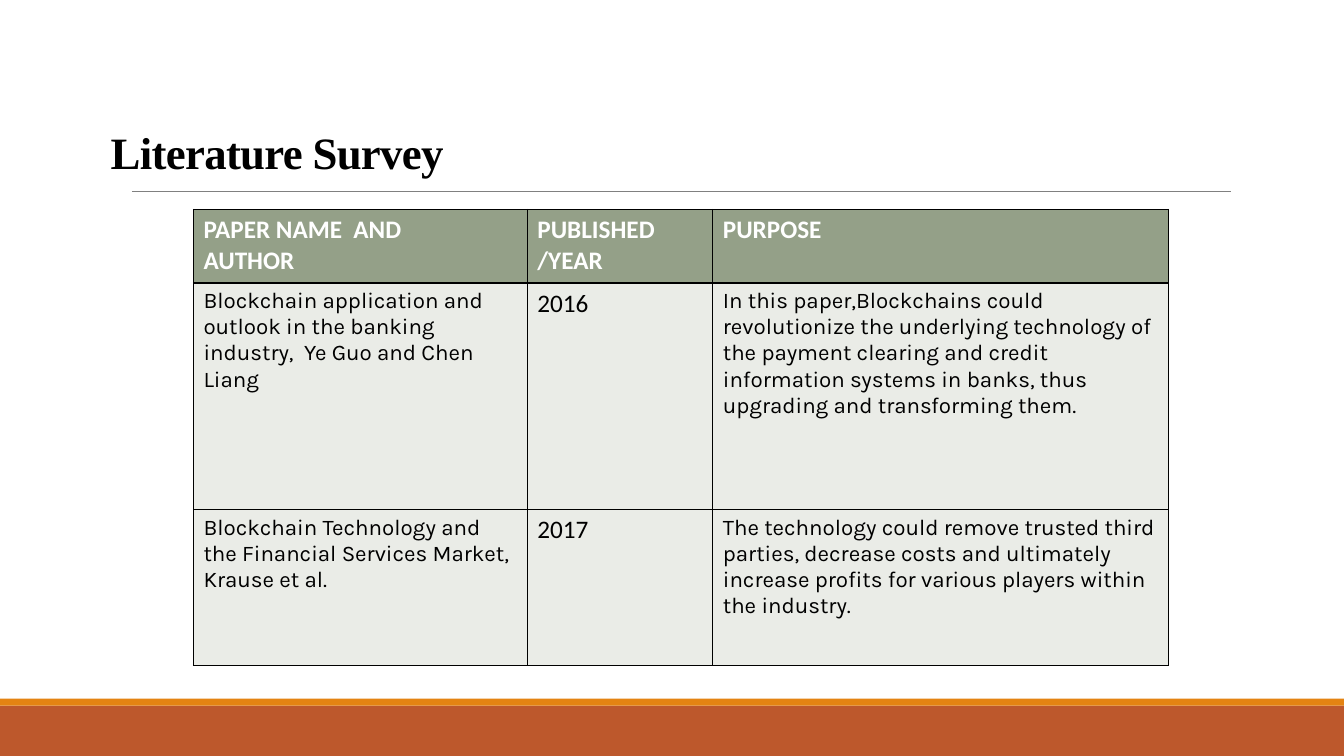
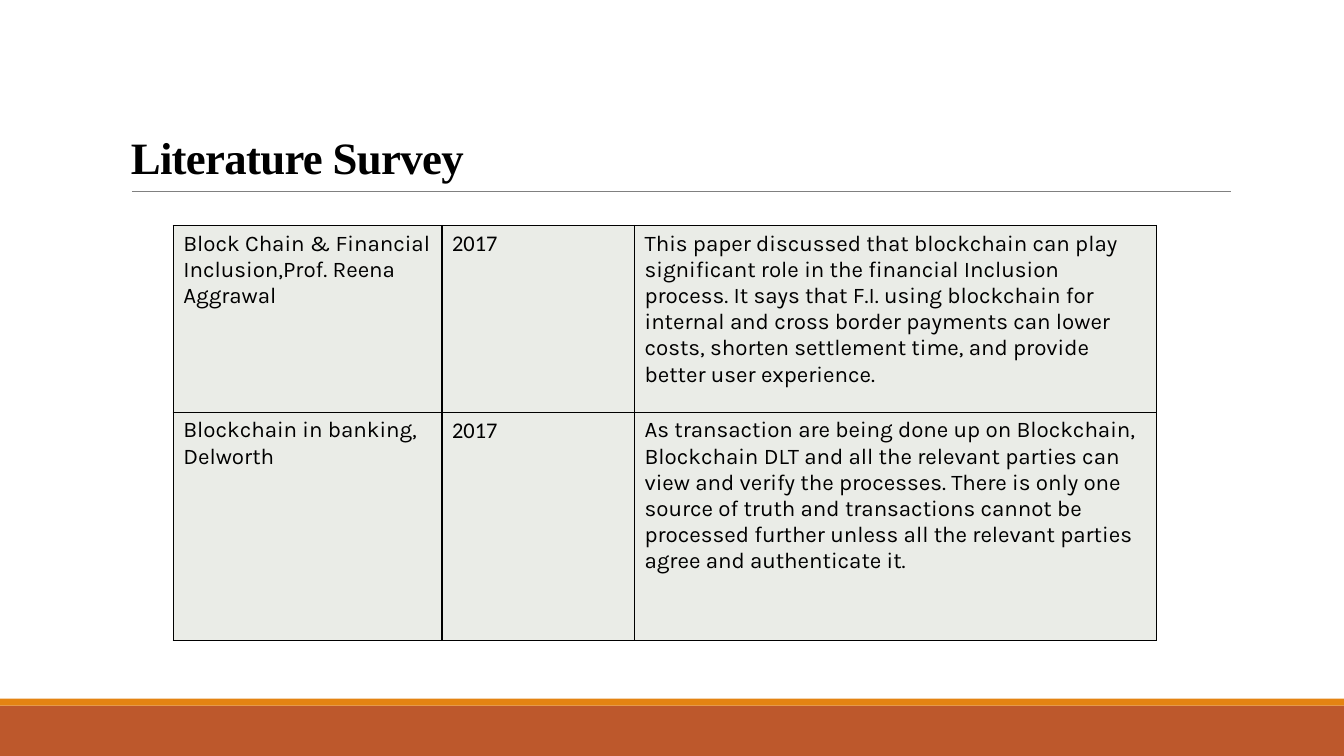
from dataclasses import dataclass

from lxml import etree
from pptx import Presentation
from pptx.dml.color import RGBColor
from pptx.enum.shapes import MSO_CONNECTOR, MSO_SHAPE
from pptx.enum.text import MSO_ANCHOR
from pptx.oxml.ns import qn
from pptx.slide import Slide
from pptx.table import _Cell
from pptx.text.text import _Run
from pptx.util import Pt

STRAIGHT = MSO_CONNECTOR.STRAIGHT
RECTANGLE = MSO_SHAPE.RECTANGLE
BOTTOM = MSO_ANCHOR.BOTTOM

RUST = RGBColor(0xBD, 0x58, 0x2C)
ORANGE = RGBColor(0xE4, 0x83, 0x12)
GRAY = RGBColor(0x80, 0x80, 0x80)
SAGE = RGBColor(0x94, 0xA0, 0x88)
PALE_SAGE = RGBColor(0xEA, 0xEC, 0xE7)
BLACK = RGBColor(0, 0, 0)
WHITE = RGBColor(0xFF, 0xFF, 0xFF)

SLIDE_WIDTH, SLIDE_HEIGHT = 960, 540
BLANK_LAYOUT = 6
TITLE = "Literature Survey"


@dataclass(frozen=True)
class Box:
    left: float
    top: float
    width: float
    height: float


@dataclass(frozen=True)
class Band:
    box: Box
    color: RGBColor


@dataclass(frozen=True)
class CellStyle:
    font: str
    size: float
    color: RGBColor = BLACK
    fill: RGBColor = PALE_SAGE
    bold: bool = False


@dataclass(frozen=True)
class SurveyPage:
    title_box: Box
    table_left: float
    table_top: float
    columns: tuple[float, ...]
    row_heights: tuple[float, ...]
    rows: tuple[tuple[str, ...], ...]
    year_size: float
    has_header: bool = False


BANDS = (
    Band(Box(0, 504, SLIDE_WIDTH, 36), RUST),
    Band(Box(0, 499, SLIDE_WIDTH, 5), ORANGE),
)
HEADER_STYLE = CellStyle("Calibri", 18, WHITE, SAGE, True)
BODY_STYLE = CellStyle("Karla", 16)

PAGES = (
    SurveyPage(
        title_box=Box(72, 27.4, 816, 103.7),
        table_left=138.2,
        table_top=149.6,
        columns=(238.5, 132.5, 325.5),
        row_heights=(52.5, 162, 111),
        rows=(
            ("PAPER NAME  AND\nAUTHOR", "PUBLISHED /YEAR", "PURPOSE"),
            (
                "Blockchain application and outlook in the banking industry,  "
                "Ye Guo and Chen Liang",
                "2016",
                "In this paper,Blockchains could revolutionize the underlying "
                "technology of the payment clearing and credit information systems "
                "in banks, thus upgrading and transforming them.",
            ),
            (
                "Blockchain Technology and the Financial Services Market, "
                "Krause et al.",
                "2017",
                "The technology could remove trusted third parties, decrease costs "
                "and ultimately increase profits for various players within the "
                "industry.",
            ),
        ),
        year_size=18,
        has_header=True,
    ),
    SurveyPage(
        title_box=Box(86.4, 20.2, 792, 114.5),
        table_left=123.8,
        table_top=161.1,
        columns=(192, 137.5, 373),
        row_heights=(133.5, 163),
        rows=(
            (
                "Block Chain & Financial Inclusion,Prof. Reena Aggrawal",
                "2017",
                "This paper discussed that blockchain can play significant role in "
                "the financial Inclusion process. It says that F.I. using "
                "blockchain for internal and cross border payments can lower costs, "
                "shorten settlement time, and provide better user experience.",
            ),
            (
                "Blockchain in banking, Delworth",
                "2017",
                "As transaction are being done up on Blockchain, Blockchain DLT and "
                "all the relevant parties can view and verify the processes. There "
                "is only one source of truth and transactions cannot be processed "
                "further unless all the relevant parties agree and authenticate it.",
            ),
        ),
        year_size=16,
    ),
)


def points(box: Box) -> tuple[Pt, ...]:
    return Pt(box.left), Pt(box.top), Pt(box.width), Pt(box.height)


def format_run(span: _Run, font: str, size: float, color: RGBColor, bold: bool) -> None:
    span.font.name = font
    span.font.size = Pt(size)
    span.font.color.rgb = color
    span.font.bold = bold


def add_frame(slide: Slide) -> None:
    """Draw the footer bands and the rule under the title."""
    for band in BANDS:
        shape = slide.shapes.add_shape(RECTANGLE, *points(band.box))
        shape.shadow.inherit = False
        shape.fill.solid()
        shape.fill.fore_color.rgb = band.color
        shape.line.fill.background()
    rule = slide.shapes.add_connector(STRAIGHT, Pt(94.3), Pt(136.6), Pt(879), Pt(136.6))
    rule.line.color.rgb = GRAY
    rule.line.width = Pt(0.5)
    etree.SubElement(rule._element.spPr, qn("a:effectLst"))


def add_title(slide: Slide, box: Box) -> None:
    frame = slide.shapes.add_textbox(*points(box)).text_frame
    frame.word_wrap = True
    frame.vertical_anchor = BOTTOM
    frame.text = TITLE
    para = frame.paragraphs[0]
    para.line_spacing = 0.85
    span = para.runs[0]
    format_run(span, "Times New Roman", 32, BLACK, True)
    span.font._element.set("spc", "-50")


def add_borders(cell: _Cell) -> None:
    properties = cell._tc.get_or_add_tcPr()
    for side in ("lnL", "lnR", "lnT", "lnB"):
        border = etree.SubElement(properties, qn(f"a:{side}"), w=str(Pt(1)))
        fill = etree.SubElement(border, qn("a:solidFill"))
        etree.SubElement(fill, qn("a:srgbClr"), val=str(BLACK))


def fill_cell(cell: _Cell, text: str, style: CellStyle) -> None:
    add_borders(cell)
    cell.fill.solid()
    cell.fill.fore_color.rgb = style.fill
    cell.text_frame.text = text
    for para in cell.text_frame.paragraphs:
        for span in para.runs:
            format_run(span, style.font, style.size, style.color, style.bold)


def add_survey_table(slide: Slide, page: SurveyPage) -> None:
    box = Box(page.table_left, page.table_top, sum(page.columns), sum(page.row_heights))
    table = slide.shapes.add_table(
        len(page.rows), len(page.columns), *points(box)
    ).table
    table.first_row = page.has_header
    table.horz_banding = False
    for column, width in zip(table.columns, page.columns):
        column.width = Pt(width)
    for row, height in zip(table.rows, page.row_heights):
        row.height = Pt(height)

    year_style = CellStyle("Calibri", page.year_size)
    body_styles = (BODY_STYLE, year_style, BODY_STYLE)
    for row_index, texts in enumerate(page.rows):
        is_header = page.has_header and row_index == 0
        for column_index, text in enumerate(texts):
            style = HEADER_STYLE if is_header else body_styles[column_index]
            fill_cell(table.cell(row_index, column_index), text, style)


def main() -> None:
    deck = Presentation()
    deck.slide_width = Pt(SLIDE_WIDTH)
    deck.slide_height = Pt(SLIDE_HEIGHT)
    for page in PAGES:
        slide = deck.slides.add_slide(deck.slide_layouts[BLANK_LAYOUT])
        add_frame(slide)
        add_title(slide, page.title_box)
        add_survey_table(slide, page)
    deck.save("out.pptx")


if __name__ == "__main__":
    main()
